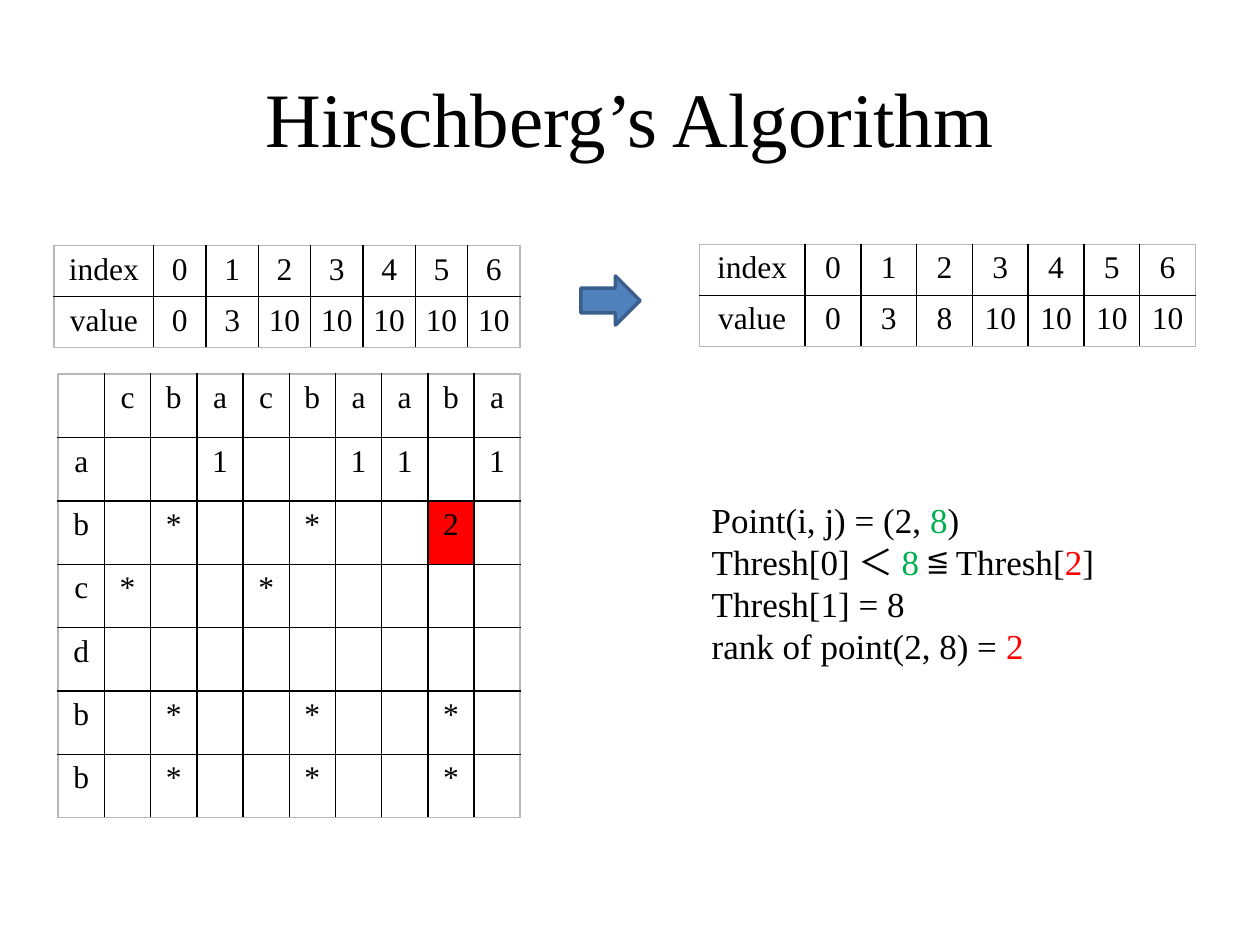
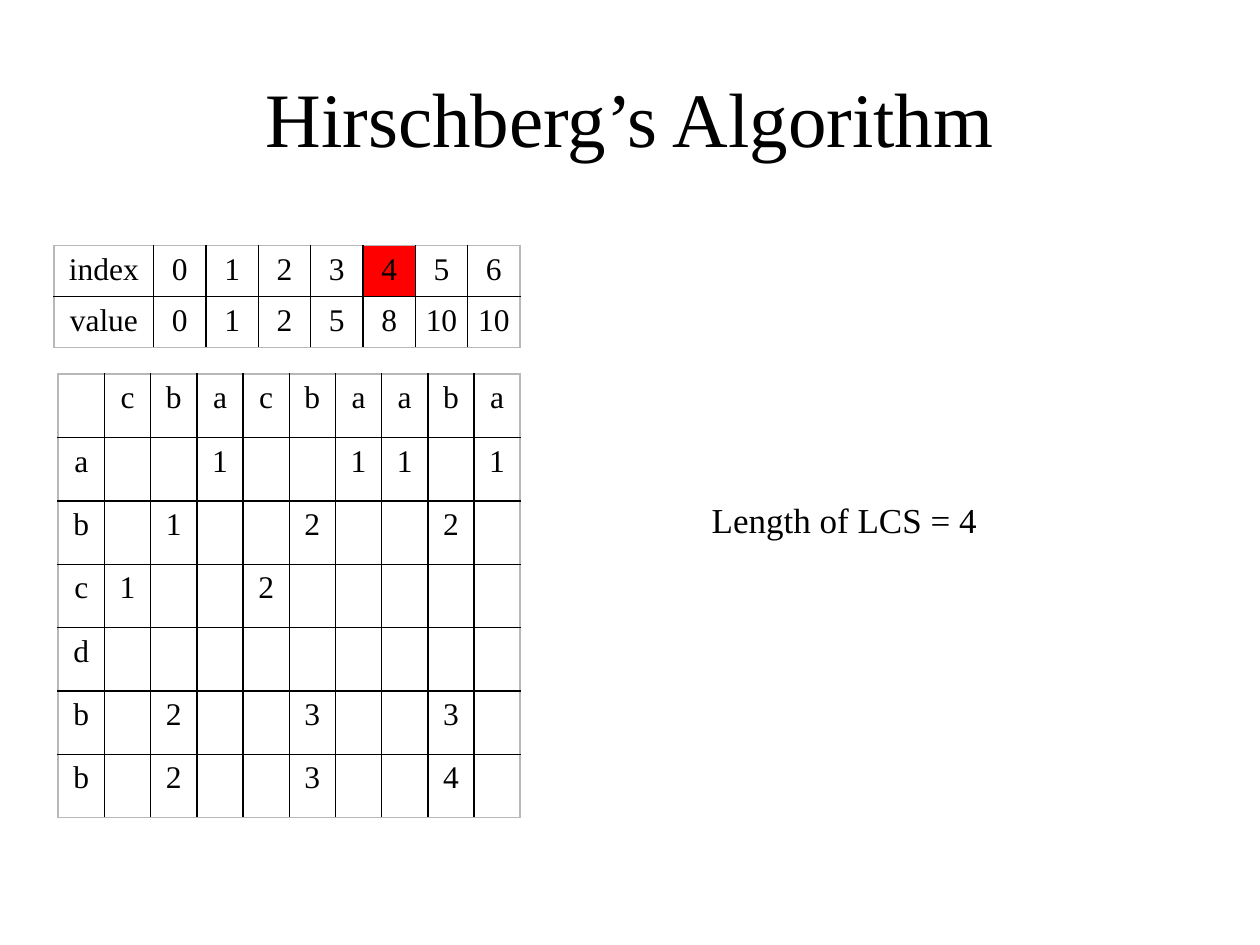
from lxml import etree
from pptx import Presentation
from pptx.dml.color import RGBColor
from pptx.enum.shapes import MSO_SHAPE
from pptx.enum.text import MSO_ANCHOR as Anchor, MSO_AUTO_SIZE as Fit, PP_ALIGN as Align
from pptx.oxml.ns import qn
from pptx.util import Inches, Pt

# Colours
BLACK = RGBColor(0x00, 0x00, 0x00)
GREY = RGBColor(0xB8, 0xB8, 0xB8)
RED = RGBColor(0xFF, 0x00, 0x00)
GREEN = RGBColor(0x00, 0xB0, 0x50)
BLUE = RGBColor(0x4F, 0x81, 0xBD)
NAVY = RGBColor(0x3A, 0x5F, 0x8C)

# Shared text style
FONT = {"name": "Times New Roman", "bold": False}
TITLE_SIZE, NOTE_SIZE, CELL_SIZE = 44, 20, 18
TITLE = "Hirschberg’s Algorithm"

# The two compared strings
COLUMN_LETTERS = "cbacbaaba"
ROW_LETTERS = "abcdbb"
EMPTY = "."

# Threshold tables: left, top, width, width of the label column
LEFT_THRESHOLDS = (0.43, 1.95, 3.7, 0.79)
RIGHT_THRESHOLDS = (5.55, 1.94, 3.94, 0.84)


def set_all(target, values):
    for name, value in values.items():
        setattr(target, name, value)


class Deck:
    """Holds the shared style and the current slide."""

    def __init__(self):
        self.prs = Presentation()
        self.prs.slide_width, self.prs.slide_height = Inches(10), Inches(7.5)
        self.s = None

    def new_slide(self):
        self.s = self.prs.slides.add_slide(self.prs.slide_layouts[6])
        self.text(0.5, 0.3, 9, 1.25, [[(TITLE, BLACK)]], TITLE_SIZE,
                  Align.CENTER, {"vertical_anchor": Anchor.MIDDLE})

    # Text
    def run(self, p, text, size, color=BLACK):
        r = p.add_run()
        r.text = text
        set_all(r.font, {**FONT, "size": Pt(size)})
        r.font.color.rgb = color

    def text(self, x, y, w, h, lines, size, align, frame):
        """Each line is a list of (text, color) pairs."""
        sp = self.s.shapes.add_textbox(Inches(x), Inches(y), Inches(w), Inches(h))
        tf = sp.text_frame
        set_all(tf, {"word_wrap": True, **frame})
        for i, line in enumerate(lines):
            p = tf.add_paragraph() if i else tf.paragraphs[0]
            p.alignment = align
            for text, color in line:
                self.run(p, text, size, color)

    def note(self, h, lines):
        self.text(5.55, 3.91, 3.39, h, lines, NOTE_SIZE, Align.LEFT,
                  {"auto_size": Fit.SHAPE_TO_FIT_TEXT})

    # Shapes
    def arrow(self, x, y, w, h):
        sp = self.s.shapes.add_shape(MSO_SHAPE.RIGHT_ARROW, Inches(x), Inches(y),
                                     Inches(w), Inches(h))
        sp.shadow.inherit = False
        sp.fill.solid()
        sp.fill.fore_color.rgb = BLUE
        sp.line.color.rgb = NAVY
        sp.line.width = Pt(2)

    # Tables
    def borders(self, cell, is_outer):
        """Draw grey lines on the outer sides and black lines elsewhere."""
        tc_pr = cell._tc.get_or_add_tcPr()
        for i, (side, outer) in enumerate(is_outer.items()):
            ln = etree.Element(qn(f"a:ln{side}"), w=str(Pt(1)))
            fill = etree.SubElement(ln, qn("a:solidFill"))
            etree.SubElement(fill, qn("a:srgbClr"), val=str(GREY if outer else BLACK))
            tc_pr.insert(i, ln)

    def cell(self, cell, value, marked, inset):
        cell.margin_left = cell.margin_right = Inches(inset)
        if marked:
            cell.fill.solid()
            cell.fill.fore_color.rgb = RED
        else:
            cell.fill.background()
        p = cell.text_frame.paragraphs[0]
        p.alignment = Align.CENTER
        if value:
            self.run(p, value, CELL_SIZE)

    def table(self, x, y, w, h, rows, label_w, marked, inset=0.1):
        """Columns after the label column share the remaining width equally."""
        last_row, last_col = len(rows) - 1, len(rows[0]) - 1
        table = self.s.shapes.add_table(len(rows), len(rows[0]), Inches(x), Inches(y),
                                        Inches(w), Inches(h)).table
        set_all(table, {"first_row": False, "horz_banding": False})
        for row in table.rows:
            row.height = Inches(h / len(rows))
        for col in table.columns:
            col.width = Inches((w - label_w) / last_col)
        table.columns[0].width = Inches(label_w)

        for i, values in enumerate(rows):
            for j, value in enumerate(values):
                cell = table.cell(i, j)
                self.cell(cell, value, (i, j) == marked, inset if j else 0.1)
                self.borders(cell, {"L": j == 0, "R": j == last_col,
                                    "T": i == 0, "B": i == last_row})

    def thresholds(self, place, values, marked=None):
        x, y, w, label_w = place
        rows = [["index", *map(str, range(len(values)))],
                ["value", *map(str, values)]]
        self.table(x, y, w, 0.81, rows, label_w, marked, inset=0.04)

    def match_grid(self, ranks, marked=None):
        """Ranks hold one string per row letter, one character per cell."""
        rows = [["", *COLUMN_LETTERS]]
        for letter, line in zip(ROW_LETTERS, ranks):
            rows.append([letter, *line])
        rows = [["" if value == EMPTY else value for value in row] for row in rows]
        self.table(0.46, 2.97, 3.67, 3.52, rows, 0.37, marked)


def ranking_slide(deck):
    deck.new_slide()
    deck.match_grid(["..1..11.1",
                     ".*..*..2.",
                     "*..*.....",
                     ".........",
                     ".*..*..*.",
                     ".*..*..*."], marked=(2, 8))
    deck.thresholds(LEFT_THRESHOLDS, [0, 3, 10, 10, 10, 10, 10])
    deck.note(1.45, [
        [("Point(i, j) = (2, ", BLACK), ("8", GREEN), (")", BLACK)],
        [("Thresh[0] ＜ ", BLACK), ("8", GREEN), (" ≦ Thresh[", BLACK),
         ("2", RED), ("]", BLACK)],
        [("Thresh[1] = 8", BLACK)],
        [("rank of point(2, 8) = ", BLACK), ("2", RED)],
    ])
    deck.arrow(4.61, 2.19, 0.47, 0.39)
    deck.thresholds(RIGHT_THRESHOLDS, [0, 3, 8, 10, 10, 10, 10])


def length_slide(deck):
    deck.new_slide()
    deck.match_grid(["..1..11.1",
                     ".1..2..2.",
                     "1..2.....",
                     ".........",
                     ".2..3..3.",
                     ".2..3..4."])
    deck.thresholds(LEFT_THRESHOLDS, [0, 1, 2, 5, 8, 10, 10], marked=(0, 5))
    deck.note(0.44, [[("Length of LCS = 4", BLACK)]])


def main():
    deck = Deck()
    ranking_slide(deck)
    length_slide(deck)
    deck.prs.save("out.pptx")


if __name__ == "__main__":
    main()
